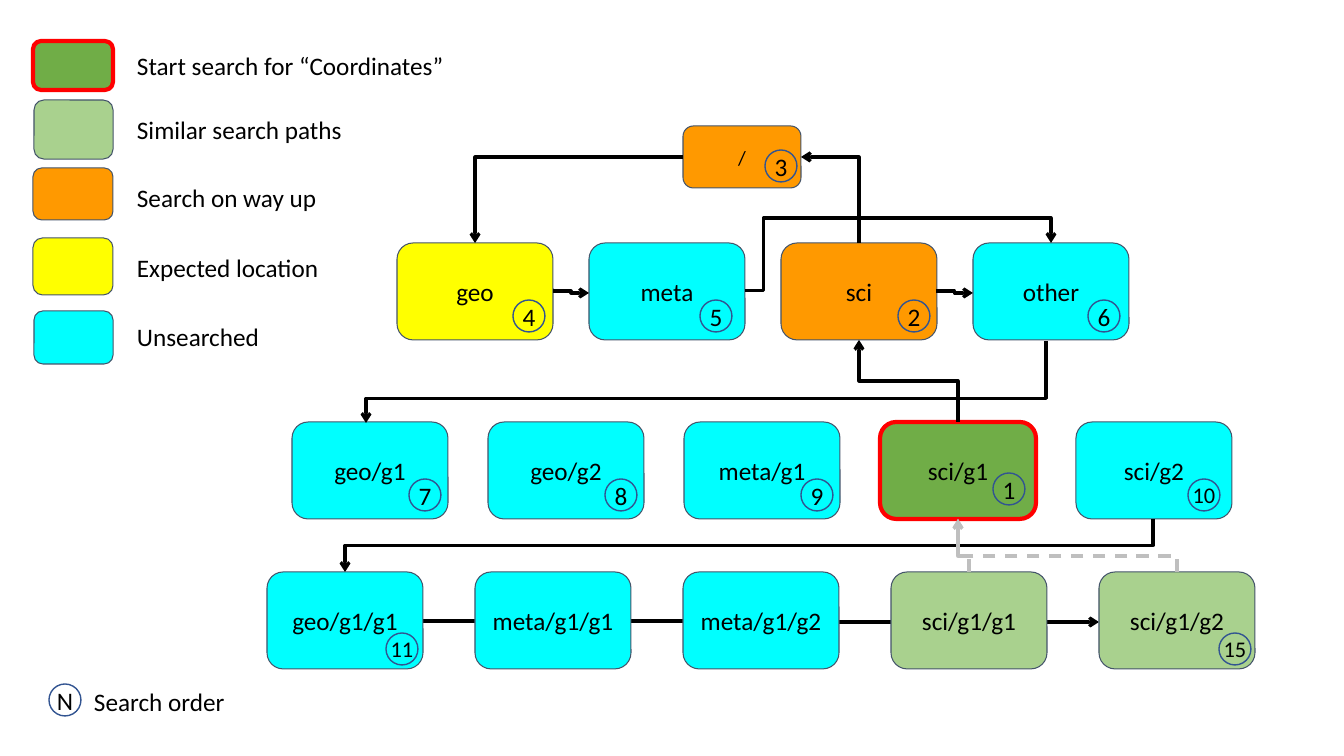
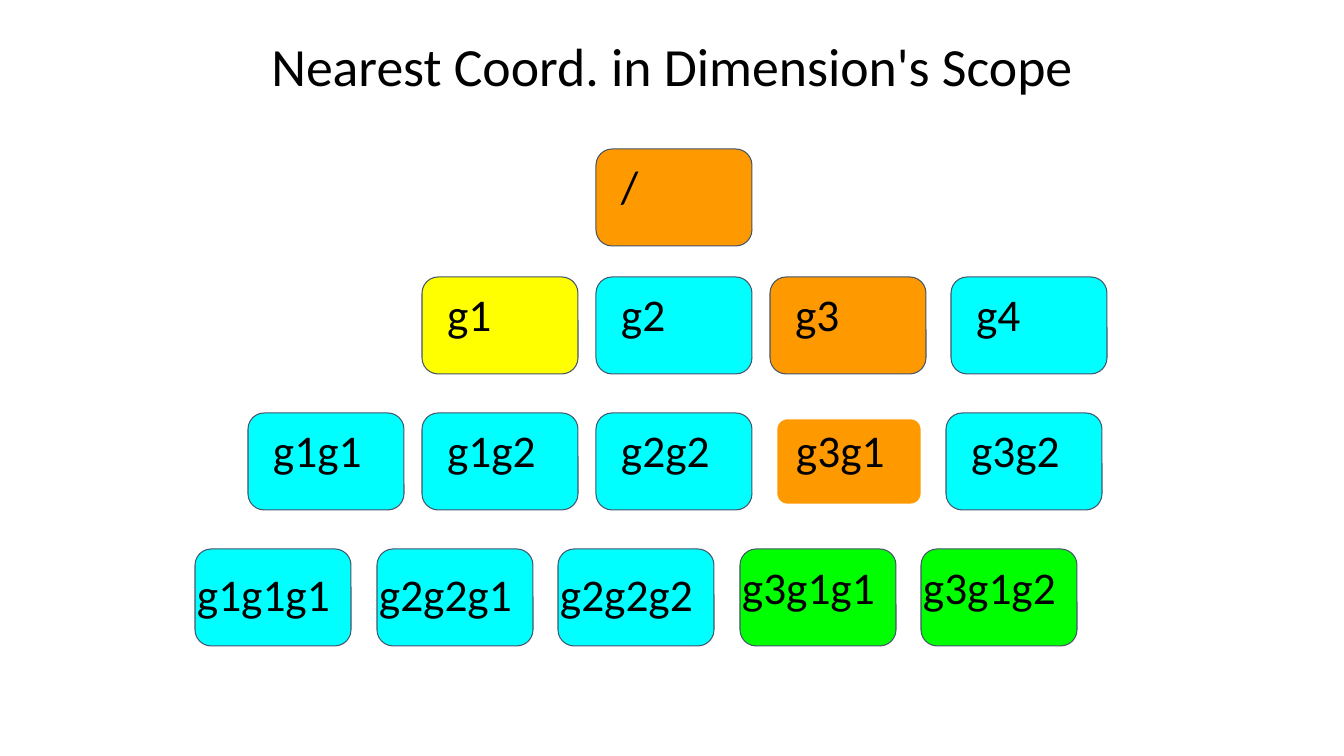
"""Build two slides on searching a group tree for coordinates."""
from lxml import etree
from pptx import Presentation, util as u
from pptx.dml.color import RGBColor
from pptx.enum import dml, shapes, text
from pptx.oxml.ns import qn

SCALE = 914400 / 100.8
FONT = "Calibri"
BOX = (156, 97)
BADGE = (32, 32)
COLORS = {
    "start": "70AD47", "similar": "A9D18E", "upward": "FF9900",
    "expected": "FFFF00", "unsearched": "00FFFF", "nearest": "00FF00",
    "edge": "44546A", "alert": "FF0000", "badge": "325491",
    "ink": "000000", "faint": "BFBFBF", "paper": "FFFFFF",
}
ROUNDED = shapes.MSO_SHAPE.ROUNDED_RECTANGLE
OVAL = shapes.MSO_SHAPE.OVAL
CENTER, LEFT = text.PP_ALIGN.CENTER, text.PP_ALIGN.LEFT
MIDDLE, TOP = text.MSO_ANCHOR.MIDDLE, text.MSO_ANCHOR.TOP
FIXED, GROW = text.MSO_AUTO_SIZE.NONE, text.MSO_AUTO_SIZE.SHAPE_TO_FIT_TEXT


def px(length):
    return u.Emu(round(length * SCALE))


def write(page, words, left, top, width, height, kind=None, holder=None, fill=None,
          edge="edge", weight=0.75, size=18, align=CENTER, anchor=MIDDLE,
          inset=(9, 9), wrap=True, fit=FIXED):
    place = [px(length) for length in (left, top, width, height)]
    if holder is not None:
        box = holder
        box.left, box.top, box.width, box.height = place
    elif kind is None:
        box = page.shapes.add_textbox(*place)
    else:
        box = page.shapes.add_shape(kind, *place)
        box.shadow.inherit = False
        box.line.color.rgb = RGBColor.from_string(COLORS[edge])
        box.line.width = u.Pt(weight)
        if fill:
            box.fill.solid()
            box.fill.fore_color.rgb = RGBColor.from_string(COLORS[fill])
        else:
            box.fill.background()
    frame = box.text_frame
    frame.auto_size = fit
    frame.word_wrap = wrap
    frame.vertical_anchor = anchor
    frame.margin_left = frame.margin_right = px(inset[0])
    frame.margin_top = frame.margin_bottom = px(inset[1])
    if words:
        para = frame.paragraphs[0]
        para.alignment = align
        span = para.add_run()
        span.text = words
        span.font.name = FONT
        span.font.size = u.Pt(size)
        span.font.color.rgb = RGBColor.from_string(COLORS["ink"])


deck = Presentation()
deck.slide_width, deck.slide_height = px(1344), px(756)

page = deck.slides.add_slide(deck.slide_layouts[6])

nodes = [("/", "upward", 683, 126, 118, 62, 14.4)]
rows = [
    (397, 192, 243, [("geo", "expected"), ("meta", "unsearched"),
                     ("sci", "upward"), ("other", "unsearched")]),
    (292, 196, 422, [("geo/g1", "unsearched"), ("geo/g2", "unsearched"),
                     ("meta/g1", "unsearched"), ("sci/g1", "start"),
                     ("sci/g2", "unsearched")]),
    (267, 208, 572, [("geo/g1/g1", "unsearched"), ("meta/g1/g1", "unsearched"),
                     ("meta/g1/g2", "unsearched"), ("sci/g1/g1", "similar"),
                     ("sci/g1/g2", "similar")]),
]
for left, step, top, groups in rows:
    for column, (name, role) in enumerate(groups):
        nodes.append((name, role, left + column * step, top, *BOX, 18))

arrows = [
    ((422, 621), (1099, 622), 0, (0.5,), "ink"),
    ((958, 422), (859, 340), 270, (0.5,), "ink"),
    ((859, 243), (801, 157), 270, (), "ink"),
    ((683, 157), (475, 243), 180, (), "ink"),
    ((936, 291), (973, 293), 0, (0.5,), "ink"),
    ((1046, 341), (366, 423), 90, (0.7,), "ink"),
    ((1153, 519), (345, 572), 90, (0.5,), "ink"),
    ((553, 291), (589, 293), 0, (0.5,), "ink"),
    ((745, 291), (1051, 243), 0, (0.06, 1.52), "ink"),
    ((969, 572), (958, 519), 270, (0.3,), "faint"),
    ((1177, 572), (958, 519), 270, (0.3,), "faint"),
]
for order, (start, end, heading, bends, color) in enumerate(arrows):
    dx, dy = end[0] - start[0], end[1] - start[1]
    along, across = {0: (dx, dy), 90: (dy, -dx), 180: (-dx, -dy), 270: (-dy, dx)}[heading]
    middle_x, middle_y = (start[0] + end[0]) / 2, (start[1] + end[1]) / 2
    arrow = page.shapes.add_connector(
        shapes.MSO_CONNECTOR.ELBOW,
        px(middle_x - along / 2), px(middle_y - across / 2),
        px(middle_x + along / 2), px(middle_y + across / 2))
    arrow.line.color.rgb = RGBColor.from_string(COLORS[color])
    arrow.line.width = u.Pt(2.25)
    if color == "faint":
        arrow.line.dash_style = dml.MSO_LINE.DASH
    props = arrow._element.spPr
    props.find(qn("a:xfrm")).set("rot", str(heading * 60000))
    outline = props.find(qn("a:prstGeom"))
    outline.set("prst", f"bentConnector{len(bends) + 2}")
    for number, bend in enumerate(bends, 1):
        etree.SubElement(outline.find(qn("a:avLst")), qn("a:gd"),
                         name=f"adj{number}", fmla=f"val {round(bend * 100000)}")
    etree.SubElement(props.find(qn("a:ln")), qn("a:tailEnd"), type="arrow")
    etree.SubElement(props, qn("a:effectLst"))
    if order == 0:
        for name, role, left, top, width, height, size in nodes:
            edge, weight = ("alert", 3) if role == "start" else ("edge", 0.75)
            write(page, name, left, top, width, height, kind=ROUNDED, fill=role,
                  edge=edge, weight=weight, size=size)

badges = [
    ("1", 993, 473), ("2", 898, 300), ("3", 765, 150), ("4", 513, 300),
    ("5", 700, 300), ("6", 1088, 300), ("7", 409, 479), ("8", 605, 479),
    ("9", 801, 479), ("10", 1188, 479), ("11", 386, 633), ("15", 1219, 633),
    ("N", 49, 684),
]
for label, left, top in badges:
    write(page, label, left, top, *BADGE, kind=OVAL, edge="badge", weight=1,
          size=16 if len(label) > 1 else 18, inset=(0, 0), wrap=False)

legend = [
    ("Start search for “Coordinates”", "start", 33, 41, 80, 49, 45, 330),
    ("Similar search paths", "similar", 34, 100, 79, 59, 109, 227),
    ("Search on way up", "upward", 33, 168, 80, 52, 177, 202),
    ("Expected location", "expected", 33, 238, 80, 57, 247, 204),
    ("Unsearched", "unsearched", 34, 311, 79, 53, 316, 144),
]
captions = [("Search order", 84, 681, 152)]
for caption, role, left, top, width, height, caption_top, caption_width in legend:
    edge, weight = ("alert", 3) if role == "start" else ("edge", 0.75)
    write(page, "", left, top, width, height, kind=ROUNDED, fill=role, edge=edge, weight=weight)
    captions.append((caption, 127, caption_top, caption_width))
for caption, left, top, width in captions:
    write(page, caption, left, top, width, 40, align=LEFT, anchor=TOP, inset=(10, 5),
          wrap=False, fit=GROW)

page = deck.slides.add_slide(deck.slide_layouts[5])
write(page, "Nearest Coord. in Dimension's Scope", 168, 29, 1008, 133,
      holder=page.shapes.title, size=38.4, anchor=TOP, inset=(4, 4))

levels = [
    (149, [596], [("/", "upward")]),
    (277, [422, 596, 770, 951], [("g1", "expected"), ("g2", "unsearched"),
                                 ("g3", "upward"), ("g4", "unsearched")]),
    (413, [248, 422, 596, 771, 946], [("g1g1", "unsearched"), ("g1g2", "unsearched"),
                                      ("g2g2", "unsearched"), ("g3g1", "upward"),
                                      ("g3g2", "unsearched")]),
    (549, [195, 377, 558, 740, 921], [("g1g1g1", "unsearched"), ("g2g2g1", "unsearched"),
                                      ("g2g2g2", "unsearched"), ("g3g1g1", "nearest"),
                                      ("g3g1g2", "nearest")]),
]
for top, lefts, groups in levels:
    for left, (name, role) in zip(lefts, groups):
        edge, weight = ("paper", 9) if name == "g3g1" else ("edge", 0.75)
        write(page, "", left, top, *BOX, kind=ROUNDED, fill=role, edge=edge, weight=weight)
        shift, width, drop = (-7, 194, 8) if len(name) == 6 else (16, 138, 0)
        if role == "nearest":
            drop = 1
        write(page, name, left + shift, top + drop, width, BOX[1],
              size=32.4, align=LEFT, anchor=TOP)

deck.save("out.pptx")
